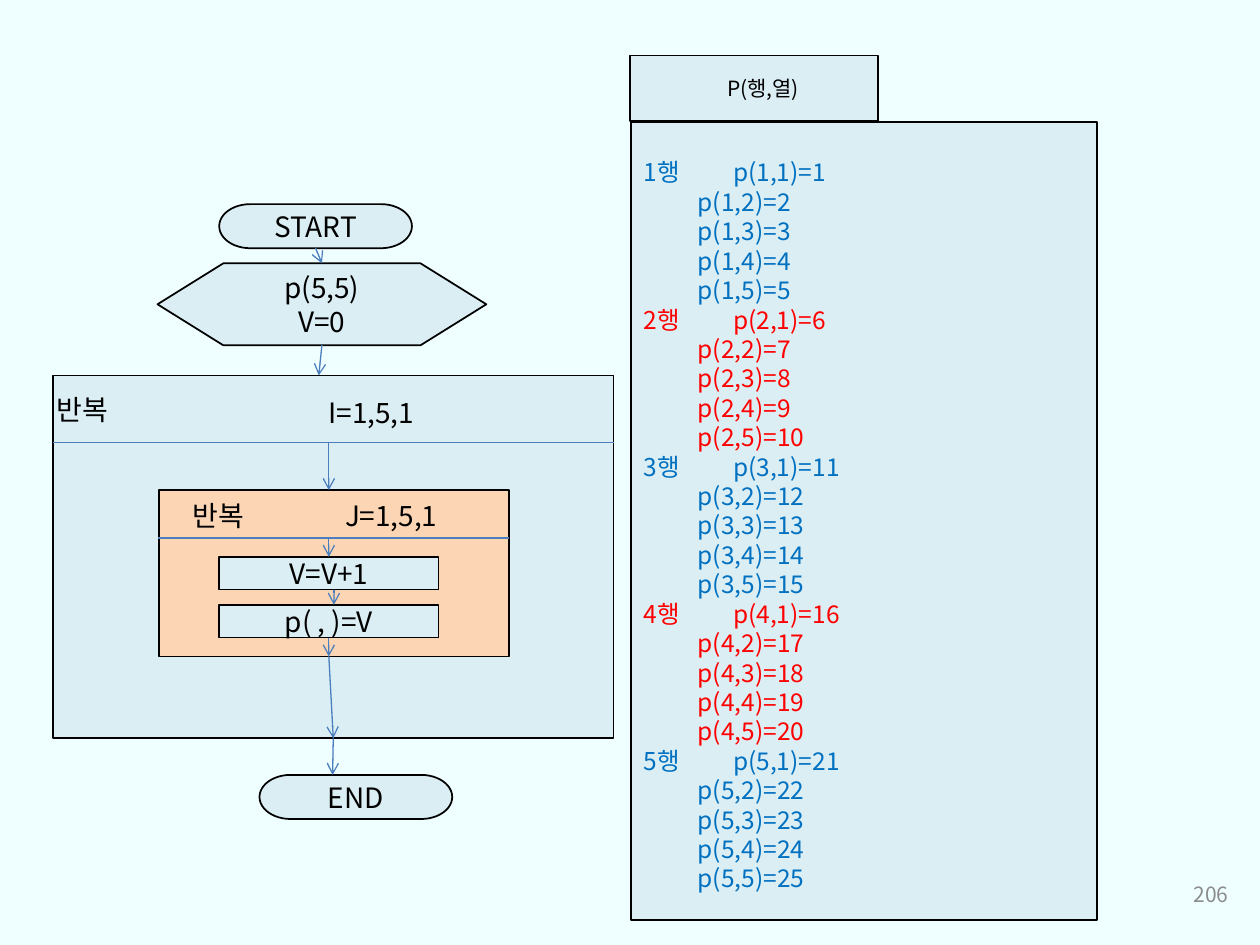
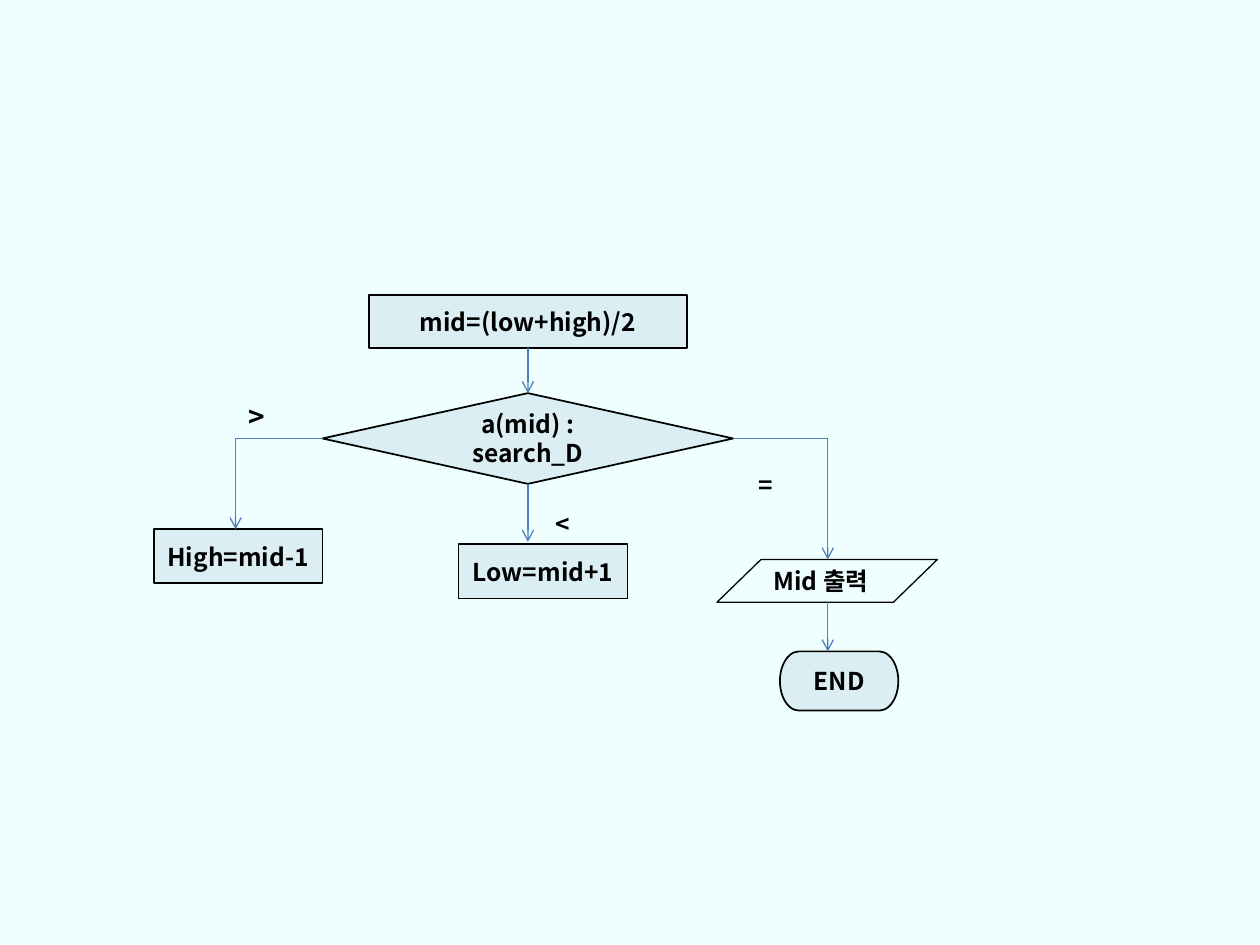
from lxml import etree
from pptx import Presentation
from pptx.dml.color import RGBColor
from pptx.enum.shapes import MSO_CONNECTOR, MSO_SHAPE
from pptx.enum.text import MSO_ANCHOR, PP_ALIGN
from pptx.oxml.ns import qn
from pptx.util import Inches, Pt

RECTANGLE = MSO_SHAPE.RECTANGLE
TERMINATOR = MSO_SHAPE.FLOWCHART_TERMINATOR
PREPARATION = MSO_SHAPE.FLOWCHART_PREPARATION
DECISION = MSO_SHAPE.FLOWCHART_DECISION
INPUT_OUTPUT = MSO_SHAPE.FLOWCHART_DATA
STRAIGHT = MSO_CONNECTOR.STRAIGHT
TOP, MIDDLE = MSO_ANCHOR.TOP, MSO_ANCHOR.MIDDLE
LEFT, CENTER, RIGHT = PP_ALIGN.LEFT, PP_ALIGN.CENTER, PP_ALIGN.RIGHT
TOP_SIDE, LEFT_SIDE, BOTTOM_SIDE, RIGHT_SIDE = range(4)

FONT = "Noto Sans CJK KR"
LINE_HEIGHT = 1.2
COLORS = {
    name: RGBColor.from_string(value)
    for name, value in {
        "background": "EFFEFE", "box": "DBEEF4", "inner loop": "FCD5B5",
        "outline": "000000", "text": "000000", "arrow": "4B7EBC",
        "odd row": "0070C0", "even row": "FF0000", "number": "8C8C8C",
    }.items()
}

deck = Presentation()
deck.slide_width, deck.slide_height = Inches(10), Inches(7.5)
COLUMN, ROW = deck.slide_width / 100, deck.slide_height / 75
master_fill = deck.slide_master.background.fill
master_fill.solid()
master_fill.fore_color.rgb = COLORS["background"]


def add_box(page, kind, frame, lines=(), size=16, bold=False, fill="box", outline=1,
            color="text", align=CENTER, anchor=MIDDLE, margins=None):
    """Place a shape, or a plain text box if kind is None; frame is in grid units."""
    left, top, width, height = frame
    place = [int(n) for n in (left * COLUMN, top * ROW, width * COLUMN, height * ROW)]
    if kind is None:
        box = page.shapes.add_textbox(*place)
    else:
        box = page.shapes.add_shape(kind, *place)
        box.shadow.inherit = False
        if fill:
            box.fill.solid()
            box.fill.fore_color.rgb = COLORS[fill]
        else:
            box.fill.background()
        box.line.color.rgb = COLORS["outline"]
        box.line.width = Pt(outline)
    edge = Inches(0.05) if anchor == TOP else 0
    frame_format = {"word_wrap": True, "vertical_anchor": anchor,
                    "margin_top": edge, "margin_bottom": edge, **(margins or {})}
    for name, value in frame_format.items():
        setattr(box.text_frame, name, value)
    for index, line in enumerate(lines):
        para = box.text_frame.paragraphs[0] if index == 0 else box.text_frame.add_paragraph()
        para.alignment = align
        para.line_spacing = Pt(size * LINE_HEIGHT)
        span = para.add_run()
        span.text = line
        for name, value in {"size": Pt(size), "bold": bold, "name": FONT}.items():
            setattr(span.font, name, value)
        span.font.color.rgb = COLORS[color]
        etree.SubElement(span.font._element, qn("a:ea"), typeface=FONT)
    return box


def add_line(page, start, end, arrow=True):
    """Each end is a grid point (column, row) or a joined (box, side)."""
    points = [(0, 0) if hasattr(point[0], "shape_id") else point for point in (start, end)]
    (x1, y1), (x2, y2) = points
    line = page.shapes.add_connector(STRAIGHT, int(x1 * COLUMN), int(y1 * ROW),
                                     int(x2 * COLUMN), int(y2 * ROW))
    for point, join in ((start, line.begin_connect), (end, line.end_connect)):
        if hasattr(point[0], "shape_id"):
            join(*point)
    line.line.color.rgb = COLORS["arrow"]
    line.line.width = Pt(0.75)
    if arrow:
        etree.SubElement(line.line._get_or_add_ln(), qn("a:tailEnd"), type="arrow")
    etree.SubElement(line._element.spPr, qn("a:effectLst"))


blank = deck.slide_layouts[6]

# Nested loops that fill a 5 x 5 array
page = deck.slides.add_slide(blank)
outer_loop = add_box(page, RECTANGLE, (4.2, 29.8, 44.5, 28.8))
start = add_box(page, TERMINATOR, (17.4, 16.2, 15.3, 3.5), ["START"])
setup = add_box(page, PREPARATION, (12.5, 20.9, 26.1, 6.5), ["p(5,5)", "V=0"])
add_box(page, TERMINATOR, (20.6, 61.5, 15.3, 3.5), ["END"])
add_line(page, (4.2, 35.1), (48.7, 35.1), arrow=False)
add_box(page, RECTANGLE, (12.6, 38.9, 27.8, 13.2), fill="inner loop")
add_line(page, (12.5, 42.7), (40.4, 42.7), arrow=False)
for label, left, top, width in (("I=1,5,1", 25.1, 30.9, 21.6), ("J=1,5,1", 26.4, 39.1, 21.6),
                                ("반복", 3.5, 30.7, 10.8), ("반복", 14.3, 39.1, 10.8)):
    add_box(page, None, (left, top, width, 4.3), [label], align=LEFT, anchor=TOP)
count, store = [
    add_box(page, RECTANGLE, (17.4, 44.2 + 3.8 * step, 17.4, 2.6), [label])
    for step, label in enumerate(("V=V+1", "p( , )=V"))
]
for begin, end in (
    ((start, BOTTOM_SIDE), (setup, TOP_SIDE)),
    ((setup, BOTTOM_SIDE), (25.3, 29.8)),
    ((26.1, 35.1), (26.1, 38.9)),
    ((26.1, 42.7), (count, TOP_SIDE)),
    ((26.5, 46.8), (26.5, 48)),
    ((store, BOTTOM_SIDE), (26.1, 52.1)),
    ((26.1, 52.1), (outer_loop, BOTTOM_SIDE)),
    ((outer_loop, BOTTOM_SIDE), (26.4, 61.5)),
):
    add_line(page, begin, end)

cells = [(row, column) for row in range(1, 6) for column in range(1, 6)]
entries = [
    (f"{row}행\t" if column == 1 else "") + f"p({row},{column})={value}"
    for value, (row, column) in enumerate(cells, 1)
]
listing = add_box(page, RECTANGLE, (50.1, 9.7, 37, 63.3), entries, size=14, align=LEFT,
                  anchor=TOP, margins={"margin_top": Inches(0.28)})
for para, (row, column) in zip(listing.text_frame.paragraphs, cells):
    properties = para._p.get_or_add_pPr()
    if column == 1:
        tabs = etree.SubElement(properties, qn("a:tabLst"))
        etree.SubElement(tabs, qn("a:tab"), pos=str(Inches(0.71)), algn="l")
    else:
        properties.set("marL", str(Inches(0.43)))
    para.runs[0].font.color.rgb = COLORS["odd row" if row % 2 else "even row"]
add_box(page, RECTANGLE, (50, 4.4, 19.7, 5.2), ["P(행,열)"], size=12,
        margins={"margin_left": Inches(0.24)})
add_box(page, None, (75.2, 69, 23.3, 4), ["206"], size=12, color="number", align=RIGHT)

# Three-way comparison of a binary search
page = deck.slides.add_slide(blank)
bold = {"size": 14, "bold": True}
middle = add_box(page, RECTANGLE, (29.3, 23.4, 25.2, 4.2), ["mid=(low+high)/2"], **bold)
compare = add_box(page, DECISION, (25.6, 31.2, 32.6, 7.2), ["a(mid) : search_D"], **bold)
for label, left, top in (("High=mid-1", 12.2, 42), ("Low=mid+1", 36.4, 43.2)):
    add_box(page, RECTANGLE, (left, top, 13.4, 4.3), [label], **bold)
for sign, left, top, size in ((">", 18.7, 31.2, 16), ("<", 43.1, 39.9, 14), ("=", 59.2, 36.8, 14)):
    add_box(page, None, (left, top, 6.8, 3.4), [sign], size=size, bold=True,
            align=LEFT, anchor=TOP)
add_box(page, INPUT_OUTPUT, (56.9, 44.4, 17.5, 3.4), ["Mid 출력"], fill=None, outline=0.75,
        align=LEFT, anchor=TOP, **bold)
add_box(page, TERMINATOR, (61.9, 51.7, 9.4, 4.7), ["END"], **bold)
for begin, end, arrow in (
    ((middle, BOTTOM_SIDE), (compare, TOP_SIDE), True),
    ((compare, LEFT_SIDE), (18.7, 34.8), False),
    ((18.7, 34.8), (18.7, 42), True),
    ((compare, RIGHT_SIDE), (65.7, 34.8), False),
    ((65.7, 34.8), (65.7, 44.4), True),
    ((compare, BOTTOM_SIDE), (41.9, 43), True),
    ((65.7, 47.8), (65.7, 51.7), True),
):
    add_line(page, begin, end, arrow)

deck.save("out.pptx")
